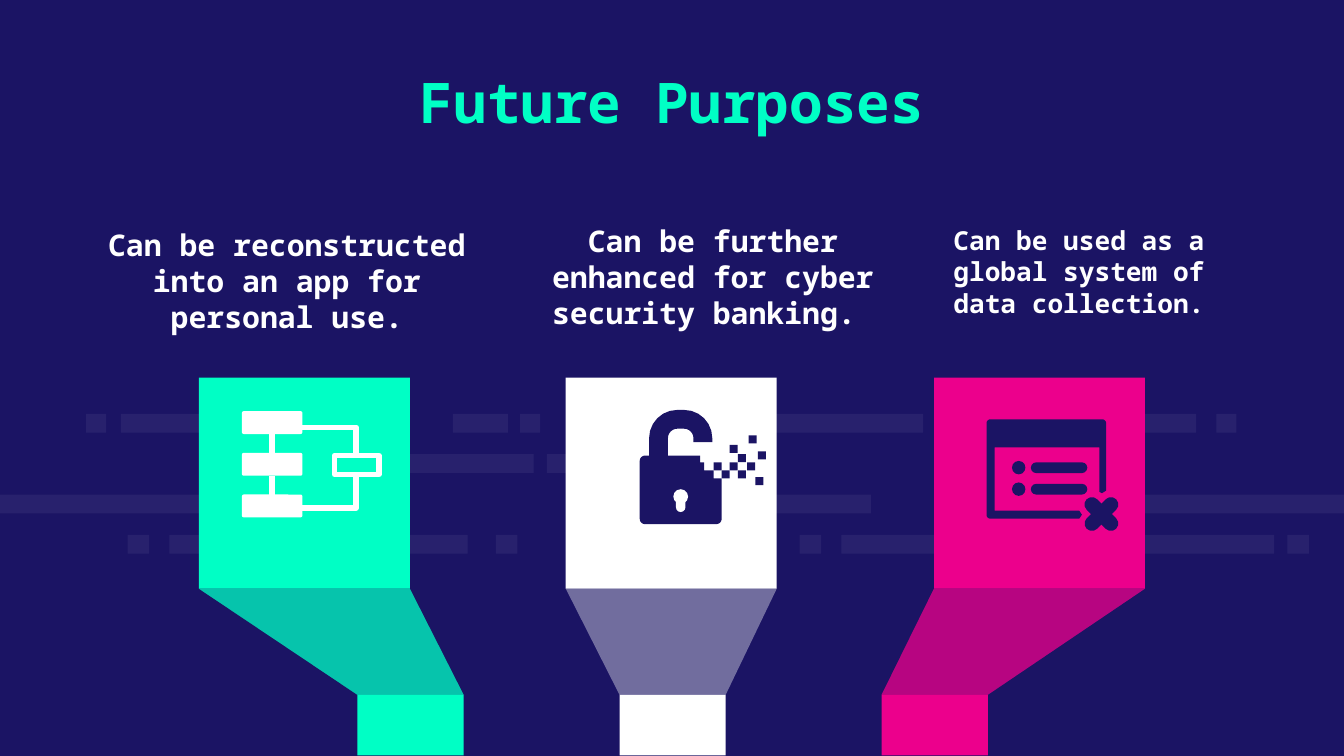
import math

import lxml.etree
import pptx
import pptx.dml.color
import pptx.enum.shapes
import pptx.enum.text
import pptx.oxml.ns
import pptx.util

Inches = pptx.util.Inches
PRESET = pptx.enum.shapes.MSO_SHAPE
qn = pptx.oxml.ns.qn

NAVY, MINT, PINK, WHITE = "1B1464", "00FFC5", "EC008C", "FFFFFF"
FONT = "Noto Sans Mono"


def colour(hex_code):
    return pptx.dml.color.RGBColor.from_string(hex_code)


def paint(shape, hex_code, alpha=100):
    shape.shadow.inherit = False
    shape.line.fill.background()
    shape.fill.solid()
    shape.fill.fore_color.rgb = colour(hex_code)
    if alpha < 100:
        tint = shape._element.spPr.find(".//" + qn("a:srgbClr"))
        lxml.etree.SubElement(tint, qn("a:alpha")).set("val", str(alpha * 1000))


def stroke(line_shape, hex_code, width):
    line_shape.line.color.rgb = colour(hex_code)
    line_shape.line.width = pptx.util.Pt(width)


def block(slide, preset, left, top, width, height, hex_code, alpha=100, rounding=None):
    shape = slide.shapes.add_shape(
        preset, Inches(left), Inches(top), Inches(width), Inches(height))
    paint(shape, hex_code, alpha)
    if rounding is not None:
        shape.adjustments[0] = rounding
    return shape


def outline(slide, left, top, points, close=True):
    corners = [(Inches(left + x), Inches(top + y)) for x, y in points]
    builder = slide.shapes.build_freeform(*corners[0], scale=1.0)
    builder.add_line_segments(corners[1:], close=close)
    return builder.convert_to_shape()


def arc(centre_x, centre_y, radius, start, stop):
    step = 15 if stop > start else -15
    angles = [math.radians(a) for a in range(start, stop + step, step)]
    return [(centre_x + radius * math.cos(a), centre_y + radius * math.sin(a))
            for a in angles]


def format_text(frame, wording, size, hex_code, bottom_inset):
    frame.text = wording
    frame.word_wrap = True
    frame.auto_size = pptx.enum.text.MSO_AUTO_SIZE.NONE
    frame.vertical_anchor = pptx.enum.text.MSO_ANCHOR.BOTTOM
    frame.margin_left = frame.margin_right = frame.margin_top = Inches(0.1)
    frame.margin_bottom = Inches(bottom_inset)
    paragraph = frame.paragraphs[0]
    paragraph.alignment = pptx.enum.text.PP_ALIGN.CENTER
    paragraph.line_spacing = 1.0
    font = paragraph.runs[0].font
    font.name, font.size, font.bold = FONT, pptx.util.Pt(size), True
    font.color.rgb = colour(hex_code)


def add_heading(slide, left, top, width, height):
    heading = slide.shapes.title
    heading.left, heading.top = Inches(left), Inches(top)
    heading.width, heading.height = Inches(width), Inches(height)
    format_text(heading.text_frame, "Future Purposes", 30, MINT, 0.1)


def add_caption(slide, left, top, width, wording, size):
    caption = slide.shapes.add_textbox(
        Inches(left), Inches(top), Inches(width), Inches(0.47))
    format_text(caption.text_frame, wording, size, WHITE, 0)


def add_dashes(slide, left, top):
    rows = [
        [(0.64, 0.15), (0.9, 1.46), (3.37, 0.41), (3.87, 0.15),
         (5.61, 1.26), (7.64, 1.26), (9.05, 0.15)],
        [(2.99, 0.98), (4.07, 0.4)],
        [(0, 1.48), (5, 1.48), (8.52, 1.48)],
        [(0.95, 0.16), (1.26, 2.22), (3.69, 0.16), (5.95, 0.16),
         (6.26, 3.22), (9.58, 0.16)],
    ]
    for row, dashes in enumerate(rows):
        for offset, width in dashes:
            block(slide, PRESET.RECTANGLE, left + offset, top + 0.3 * row,
                  width, 0.14, WHITE, 6)


def add_pillar(slide, left, top, foot_offset, hex_code, slope_layers):
    side, foot, slope_height = 1.57, 0.79, 0.79
    foot_top = side + slope_height
    slope = [(0, side), (side, side), (foot_offset + foot, foot_top),
             (foot_offset, foot_top)]
    for layer, alpha in slope_layers:
        paint(outline(slide, left, top, slope), layer, alpha)
    block(slide, PRESET.RECTANGLE, left + foot_offset, top + foot_top, foot, 0.45, hex_code)
    block(slide, PRESET.RECTANGLE, left, top, side, side, hex_code)


def add_flowchart(slide, left, top):
    loop = outline(slide, left, top,
                   [(0.45, 0.12), (0.85, 0.12), (0.85, 0.72), (0.45, 0.72)], close=False)
    loop.shadow.inherit = False
    loop.fill.background()
    stroke(loop, WHITE, 3)
    decision = block(slide, PRESET.RECTANGLE, left + 0.69, top + 0.33, 0.33, 0.14, MINT)
    stroke(decision, WHITE, 3)
    steps = [block(slide, PRESET.ROUNDED_RECTANGLE, left, top + 0.31 * i,
                   0.45, 0.17, WHITE, rounding=0.08) for i in range(3)]
    for upper, lower in zip(steps, steps[1:]):
        link = slide.shapes.add_connector(
            pptx.enum.shapes.MSO_CONNECTOR.STRAIGHT, 0, 0, 0, 0)
        link.begin_connect(upper, 2)
        link.end_connect(lower, 0)
        stroke(link, WHITE, 3.5)
        lxml.etree.SubElement(link._element.spPr, qn("a:effectLst"))


def add_padlock(slide, left, top):
    shackle = (arc(0.28, 0.21, 0.21, 180, 270) + arc(0.33, 0.21, 0.21, 270, 360)
               + [(0.54, 0.24), (0.4, 0.24)]
               + arc(0.33, 0.21, 0.07, 360, 270) + arc(0.28, 0.21, 0.07, 270, 180))
    broken_edge = [(0.21, 0.34), (0.45, 0.34), (0.45, 0.39), (0.48, 0.39),
                   (0.48, 0.45), (0.55, 0.45), (0.55, 0.51), (0.61, 0.51)]
    base = (arc(0.57, 0.81, 0.04, 0, 90) + arc(0.04, 0.81, 0.04, 90, 180)
            + arc(0.04, 0.38, 0.04, 180, 270))
    paint(outline(slide, left, top, shackle + broken_edge + base + [(0.07, 0.34)]), NAVY)
    block(slide, PRESET.OVAL, left + 0.25, top + 0.59, 0.11, 0.11, WHITE)
    block(slide, PRESET.ROUNDED_RECTANGLE, left + 0.27, top + 0.65, 0.07, 0.11,
          WHITE, rounding=0.5)
    fragments = [(0.61, 0.45), (0.73, 0.33), (0.67, 0.39), (0.67, 0.26), (0.55, 0.39),
                 (0.73, 0.45), (0.86, 0.5), (0.8, 0.39), (0.88, 0.31), (0.81, 0.19)]
    for x, y in fragments:
        block(slide, PRESET.RECTANGLE, left + x, top + y, 0.06, 0.06, NAVY)


def add_data_window(slide, left, top):
    frame = (arc(0.03, 0.03, 0.03, 180, 270) + arc(0.86, 0.03, 0.03, 270, 360)
             + [(0.89, 0.53), (0.86, 0.55), (0.84, 0.54), (0.84, 0.21), (0.06, 0.21),
                (0.06, 0.68), (0.69, 0.68), (0.71, 0.71), (0.69, 0.74)]
             + arc(0.03, 0.71, 0.03, 90, 180))
    paint(outline(slide, left, top, frame), NAVY)
    for entry_top in (top + 0.31, top + 0.47):
        block(slide, PRESET.OVAL, left + 0.19, entry_top, 0.1, 0.1, NAVY)
        block(slide, PRESET.ROUNDED_RECTANGLE, left + 0.33, entry_top + 0.01,
              0.42, 0.08, NAVY, rounding=0.5)
    for angle in (45, 135):
        cross_arm = block(slide, PRESET.ROUNDED_RECTANGLE, left + 0.7, top + 0.65,
                          0.31, 0.11, NAVY, rounding=0.5)
        cross_arm.rotation = angle


def main():
    deck = pptx.Presentation()
    deck.slide_width = Inches(10)
    deck.slide_height = deck.slide_width * 9 // 16
    slide = deck.slides.add_slide(deck.slide_layouts.get_by_name("Title Only"))
    slide.background.fill.solid()
    slide.background.fill.fore_color.rgb = colour(NAVY)

    add_dashes(slide, 0, 3.08)
    add_heading(slide, 1.4, 0.37, 7.2, 0.73)
    add_caption(slide, 0.55, 2.02, 3.17,
                "Can be reconstructed into an app for personal use.", 16)
    add_caption(slide, 3.72, 1.99, 3.17,
                "Can be further enhanced for cyber security banking. ", 16)
    add_caption(slide, 6.9, 1.9, 2.26,
                "Can be used as a global system of data collection.", 14)

    add_pillar(slide, 4.21, 2.81, 0.4, WHITE, [(WHITE, 38)])
    add_pillar(slide, 1.48, 2.81, 1.18, MINT, [(MINT, 100), (NAVY, 25)])
    add_pillar(slide, 6.95, 2.81, -0.39, PINK, [(PINK, 100), (NAVY, 25)])

    add_flowchart(slide, 1.8, 3.06)
    add_padlock(slide, 4.76, 3.05)
    add_data_window(slide, 7.34, 3.12)
    deck.save("out.pptx")


if __name__ == "__main__":
    main()
